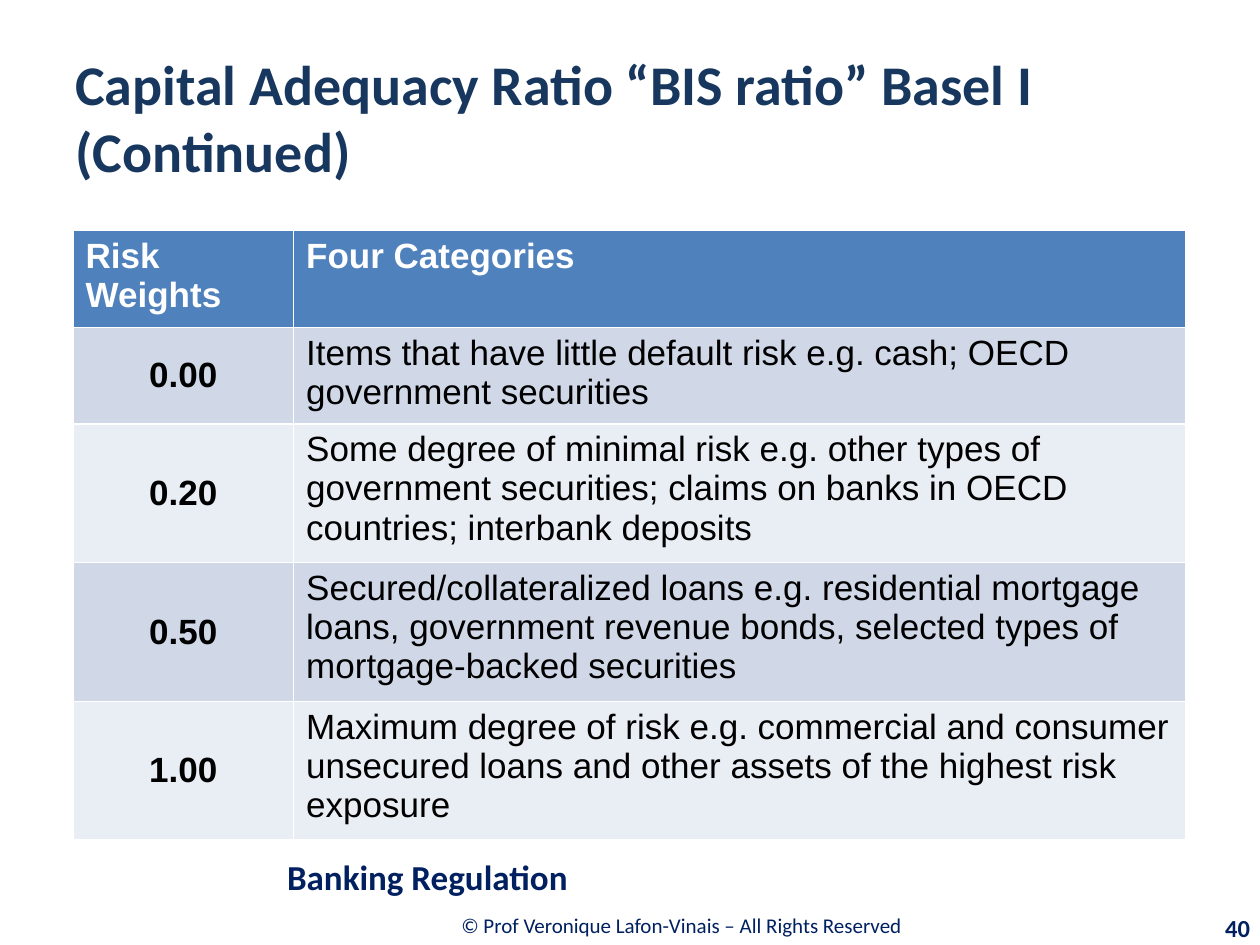
"""Build the slide on Basel I risk weights."""
from pptx import Presentation
from pptx.dml.color import RGBColor
from pptx.enum.text import MSO_ANCHOR, PP_ALIGN
from pptx.util import Inches, Pt

LEFT, MID, RIGHT = PP_ALIGN.LEFT, PP_ALIGN.CENTER, PP_ALIGN.RIGHT
TOP, CENTER = MSO_ANCHOR.TOP, MSO_ANCHOR.MIDDLE
NAVY = RGBColor(0x00, 0x20, 0x60)
DARK = RGBColor(0x17, 0x37, 0x5E)
BLUE = RGBColor(0x4F, 0x81, 0xBD)
BANDS = RGBColor(0xD0, 0xD8, 0xE8), RGBColor(0xE9, 0xED, 0xF4)
WHITE = RGBColor(0xFF, 0xFF, 0xFF)
BLACK = RGBColor(0x00, 0x00, 0x00)

TITLE = "Capital Adequacy Ratio “BIS ratio” Basel I (Continued)"
ROWS = [
    ("Risk Weights", "Four Categories"),
    ("0.00", "Items that have little default risk e.g. cash; OECD government securities"),
    ("0.20", "Some degree of minimal risk e.g. other types of government securities; "
             "claims on banks in OECD countries; interbank deposits"),
    ("0.50", "Secured/collateralized loans e.g. residential mortgage loans, government "
             "revenue bonds, selected types of mortgage-backed securities"),
    ("1.00", "Maximum degree of risk e.g. commercial and consumer unsecured loans "
             "and other assets of the highest risk exposure"),
]
WIDTHS = 1.75, 7.08
HEIGHTS = 0.71, 0.72, 1.03, 1.03, 1.03
LABELS = [
    ("© Prof Veronique Lafon-Vinais – All Rights Reserved",
     (2.17, 7.15, 6.48, 0.39), 12, False, MID),
    ("40", (9.01, 7.2, 1.01, 0.32), 14, True, RIGHT),
    ("Banking Regulation", (2.18, 6.72, 7.82, 0.47), 20, True, LEFT),
]


def style(par, face, size, color, bold, align):
    font = par.font
    font.name, font.size, font.bold = face, Pt(size), bold
    font.color.rgb = color
    par.alignment = align


def fill_box(shape, text, size, color, bold, align):
    frame = shape.text_frame
    frame.word_wrap = True
    frame.vertical_anchor = CENTER
    frame.text = text
    style(frame.paragraphs[0], "Calibri", size, color, bold, align)


def add_grid(slide):
    box = map(Inches, (0.58, 1.83, sum(WIDTHS), sum(HEIGHTS)))
    table = slide.shapes.add_table(len(ROWS), len(WIDTHS), *box).table
    for col, width in zip(table.columns, WIDTHS):
        col.width = Inches(width)
    for r, texts in enumerate(ROWS):
        table.rows[r].height = Inches(HEIGHTS[r])
        head = r == 0
        for c, text in enumerate(texts):
            cell = table.cell(r, c)
            weight = c == 0 and not head
            cell.text = text
            cell.fill.solid()
            cell.fill.fore_color.rgb = BLUE if head else BANDS[(r - 1) % 2]
            cell.vertical_anchor = CENTER if weight else TOP
            style(cell.text_frame.paragraphs[0], "Arial", 20,
                  WHITE if head else BLACK, head or weight,
                  MID if weight else LEFT)


def main():
    deck = Presentation()
    deck.slide_width, deck.slide_height = Inches(10), Inches(7.5)
    layout = deck.slide_layouts.get_by_name("Blank")
    slide = deck.slides.add_slide(layout)
    title = slide.shapes.add_textbox(*map(Inches, (0.5, 0.3, 9, 1.25)))
    fill_box(title, TITLE, 32, DARK, True, LEFT)
    add_grid(slide)
    for text, box, size, bold, align in LABELS:
        label = slide.shapes.add_textbox(*map(Inches, box))
        fill_box(label, text, size, NAVY, bold, align)
    deck.save("out.pptx")


if __name__ == "__main__":
    main()
